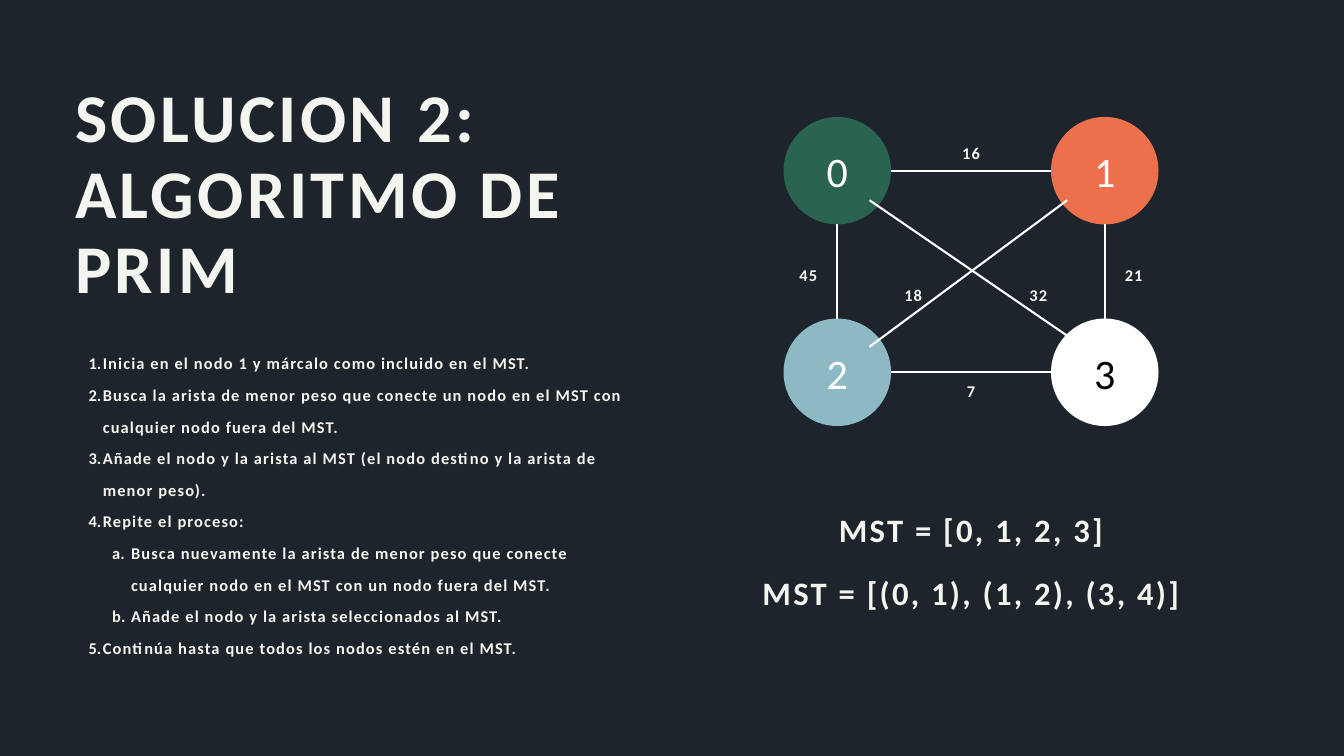
from dataclasses import dataclass

from lxml import etree
from pptx import Presentation
from pptx import util as u
from pptx.dml.color import RGBColor
from pptx.enum import shapes, text
from pptx.oxml.ns import qn

PX = 9144  # EMU per px, on a 2000 x 1125 px slide


@dataclass(frozen=True)
class Style:
    """Size, letter spacing and line spacing in points."""
    size: float
    spacing: float
    leading: float = 0
    bold: bool = True


@dataclass(frozen=True)
class Theme:
    font: str = "Calibri"
    background: str = "1D242C"
    ink: str = "F5F5EF"
    white: str = "FFFFFF"
    black: str = "000000"
    green: str = "2A6350"
    orange: str = "EC704C"
    blue: str = "8CB9C4"
    edge_width: float = 2.25
    title: Style = Style(73.2, 3.7, 81.3)
    body: Style = Style(17.6, 1.2, 33.9)
    result: Style = Style(35, 2.4, 67.5)
    node: Style = Style(45, 0.9, bold=False)


T = Theme()
LEFT, CENTER = text.PP_ALIGN.LEFT, text.PP_ALIGN.CENTER

STEPS = [
    (1, "Inicia en el nodo 1 y márcalo como incluido en el MST."),
    (1, "Busca la arista de menor peso que conecte un nodo en el MST con "
        "cualquier nodo fuera del MST."),
    (1, "Añade el nodo y la arista al MST (el nodo destino y la arista de "
        "menor peso)."),
    (1, "Repite el proceso:"),
    (2, "Busca nuevamente la arista de menor peso que conecte cualquier nodo "
        "en el MST con un nodo fuera del MST."),
    (2, "Añade el nodo y la arista seleccionados al MST."),
    (1, "Continúa hasta que todos los nodos estén en el MST."),
]
# level: left margin px, hanging indent px, numbering scheme
NUMBERING = {1: (41, -21, "arabicPeriod"), 2: (83, -28, "alphaLcPeriod")}


def px(*values):
    return [u.Emu(v * PX) for v in values]


def rgb(value):
    return RGBColor.from_string(value)


def style_paragraph(p, style, color=T.ink, align=LEFT):
    p.alignment = align
    if style.leading:
        p.line_spacing = u.Pt(style.leading)
    p.font.name = T.font
    p.font.size = u.Pt(style.size)
    p.font.bold = style.bold
    p.font.color.rgb = rgb(color)
    p._p.pPr.find(qn("a:defRPr")).set("spc", str(round(style.spacing * 100)))


def clear_frame(tf):
    tf.word_wrap = True
    tf.margin_left = tf.margin_top = tf.margin_right = tf.margin_bottom = 0


def add_text(slide, box, lines, style, align=LEFT):
    tf = slide.shapes.add_textbox(*px(*box)).text_frame
    clear_frame(tf)
    for i, line in enumerate(lines):
        p = tf.add_paragraph() if i else tf.paragraphs[0]
        p.text = line
        style_paragraph(p, style, align=align)
    return tf


def number_paragraph(p, level):
    margin, indent, scheme = NUMBERING[level]
    p.level = level
    pPr = p._p.pPr
    pPr.set("marL", str(margin * PX))
    pPr.set("indent", str(indent * PX))
    bullet = etree.Element(qn("a:buAutoNum"), type=scheme)
    pPr.find(qn("a:defRPr")).addprevious(bullet)


def add_node(slide, x, y, size, label, fill, color):
    sp = slide.shapes.add_shape(shapes.MSO_SHAPE.OVAL, *px(x, y, size, size))
    sp.shadow.inherit = False
    sp.fill.solid()
    sp.fill.fore_color.rgb = rgb(fill)
    sp.line.fill.background()
    tf = sp.text_frame
    clear_frame(tf)
    tf.vertical_anchor = text.MSO_ANCHOR.MIDDLE
    p = tf.paragraphs[0]
    p.text = label
    style_paragraph(p, T.node, color, CENTER)


def add_edge(slide, x1, y1, x2, y2):
    line = slide.shapes.add_connector(
        shapes.MSO_CONNECTOR.STRAIGHT, *px(x1, y1, x2, y2))
    line.line.color.rgb = rgb(T.white)
    line.line.width = u.Pt(T.edge_width)
    etree.SubElement(line._element.spPr, qn("a:effectLst"))


def steps_region(slide, box):
    tf = add_text(slide, box, [step for _, step in STEPS], T.body)
    for p, (level, _) in zip(tf.paragraphs, STEPS):
        number_paragraph(p, level)


def graph_region(slide, box):
    left, top, width, height = box
    size = 160
    dx, dy, mid = width - size, height - size, size // 2

    # Nodes, row by row
    nodes = [(T.green, T.white), (T.orange, T.white),
             (T.blue, T.white), (T.white, T.black)]
    for i, (fill, color) in enumerate(nodes):
        row, col = divmod(i, 2)
        add_node(slide, left + col * dx, top + row * dy, size,
                 str(i), fill, color)

    # Edges: two diagonals, then the four sides
    edges = [
        (128, 342, 422, 124), (128, 124, 446, 342),
        (size, mid, dx, mid), (size, dy + mid, dx, dy + mid),
        (mid, size, mid, dy), (dx + mid, size, dx + mid, dy),
    ]
    for x1, y1, x2, y2 in edges:
        add_edge(slide, left + x1, top + y1, left + x2, top + y2)

    # Edge weights
    weights = [("16", 236, 21), ("45", -6, 203), ("21", 478, 203),
               ("7", 236, 376), ("18", 150, 232), ("32", 336, 232)]
    for weight, x, y in weights:
        add_text(slide, (left + x, top + y, 86, 42), [weight], T.body, CENTER)


def main():
    prs = Presentation()
    prs.slide_width, prs.slide_height = px(2000, 1125)
    slide = prs.slides.add_slide(prs.slide_layouts[6])
    slide.background.fill.solid()
    slide.background.fill.fore_color.rgb = rgb(T.background)

    # Left: title and steps
    add_text(slide, (112, 119, 750, 340),
             ["SOLUCION 2: ALGORITMO DE PRIM"], T.title)
    steps_region(slide, (112, 508, 827, 508))

    # Right: weighted graph and its spanning tree
    graph_region(slide, (1166, 174, 558, 460))
    add_text(slide, (1083, 723, 724, 178),
             ["MST = [0, 1, 2, 3]", "MST = [(0, 1), (1, 2), (3, 4)]"],
             T.result, CENTER)
    prs.save("out.pptx")


if __name__ == "__main__":
    main()
